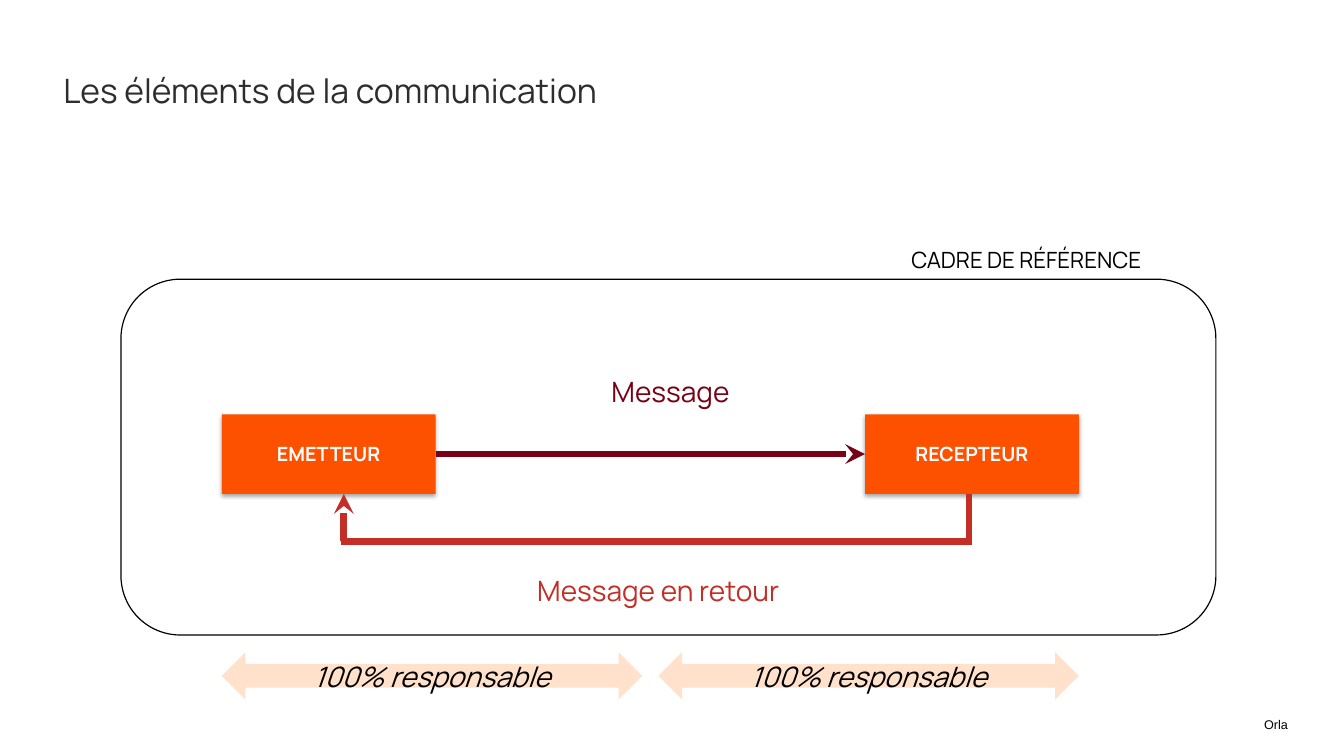
from lxml.etree import SubElement
from pptx import Presentation
from pptx.dml.color import RGBColor
from pptx.enum.shapes import MSO_CONNECTOR, MSO_SHAPE
from pptx.enum.text import MSO_ANCHOR, PP_ALIGN
from pptx.oxml.ns import qn
from pptx.util import Inches, Pt

HUES = {
    "white": "FFFFFF", "black": "000000", "gray": "2D2D2D", "orange": "FE5100",
    "peach": "FFE1CC", "wine": "780116", "red": "C32F27",
}
LEFT, RIGHT = 2.2, 10.7
BOX_W, BOX_H, BOX_TOP = 2.12, 0.79, 4.11
SPAN_W, SPAN_H, SPAN_TOP = 4.17, 0.47, 6.47
TURN, BACK, HOME = 5.37, 9.61, 3.41

LABELS = [
    ("Les éléments de la communication", (0.53, 0.52, 8.86, 0.67),
     dict(size=24, hue="gray", lead=1.2, anchor=MSO_ANCHOR.MIDDLE)),
    ("Message", (5.51, 3.67, 2.28, 0.44),
     dict(size=20, hue="wine", align=PP_ALIGN.CENTER)),
    ("Message en retour", (5.23, 5.64, 3.17, 0.44), dict(size=20, hue="red")),
    ("CADRE DE RÉFÉRENCE", (8.94, 2.39, 3.94, 0.37), dict(size=16)),
    ("Orla", (12.51, 7.11, 0.29, 0.15),
     dict(size=9, font="Arial", align=PP_ALIGN.CENTER,
          anchor=MSO_ANCHOR.BOTTOM, inset=0, wrap=False)),
]
ROLES = ["EMETTEUR", "RECEPTEUR"]
SHARES = ["100% responsable", "100% responsable"]

deck = Presentation()
deck.slide_width, deck.slide_height = Inches(13.33), Inches(7.5)
slide = deck.slides.add_slide(deck.slide_layouts[6])


def color(hue):
    return RGBColor.from_string(HUES[hue])


def write(shape, text, size=20, hue="black", font="Manrope", bold=False,
          italic=False, align=PP_ALIGN.LEFT, anchor=MSO_ANCHOR.TOP,
          lead=None, inset=None, wrap=True):
    frame = shape.text_frame
    frame.word_wrap = wrap
    frame.vertical_anchor = anchor
    if inset is not None:
        frame.margin_left = frame.margin_right = Inches(inset)
        frame.margin_top = frame.margin_bottom = Inches(inset)
    para = frame.paragraphs[0]
    para.alignment = align
    para.line_spacing = lead
    run = para.add_run()
    run.text = text
    run.font.name, run.font.size = font, Pt(size)
    run.font.bold, run.font.italic = bold, italic
    run.font.color.rgb = color(hue)


def draw(kind, area, fill, line=None):
    shape = slide.shapes.add_shape(kind, *map(Inches, area))
    shape.shadow.inherit = False
    shape.fill.solid()
    shape.fill.fore_color.rgb = color(fill)
    if line:
        shape.line.color.rgb = color(line)
        shape.line.width = Pt(0.85)
    else:
        shape.line.fill.background()
    return shape


def shade(shape):
    effect = shape._element.spPr.find(qn("a:effectLst"))
    outer = SubElement(effect, qn("a:outerShdw"), blurRad=str(Pt(3.1)),
                       dist=str(Pt(1.8)), dir="5400000", rotWithShape="0")
    tint = SubElement(outer, qn("a:srgbClr"), val=HUES["black"])
    SubElement(tint, qn("a:alpha"), val="35000")


def link(start, end, hue, arrow=False):
    line = slide.shapes.add_connector(
        MSO_CONNECTOR.STRAIGHT, *map(Inches, start + end))
    line.line.color.rgb = color(hue)
    line.line.width = Pt(4.75)
    if arrow:
        SubElement(line.line._get_or_add_ln(), qn("a:tailEnd"), type="stealth")
    SubElement(line._element.spPr, qn("a:effectLst"))
    return line


draw(MSO_SHAPE.ROUNDED_RECTANGLE, (1.2, 2.77, 10.86, 3.53), "white", "black")

boxes = []
for role, left in zip(ROLES, (LEFT, RIGHT - BOX_W)):
    box = draw(MSO_SHAPE.RECTANGLE, (left, BOX_TOP, BOX_W, BOX_H), "orange")
    shade(box)
    write(box, role, size=14, hue="white", bold=True, align=PP_ALIGN.CENTER,
          anchor=MSO_ANCHOR.MIDDLE, inset=0.08)
    boxes.append(box)

mid = BOX_TOP + BOX_H / 2
sent = link((LEFT + BOX_W, mid), (RIGHT - BOX_W, mid), "wine", arrow=True)
sent.begin_connect(boxes[0], 3)
sent.end_connect(boxes[1], 1)

base = BOX_TOP + BOX_H
link((BACK, base), (BACK, TURN), "red")
link((BACK + 0.03, TURN), (HOME - 0.03, TURN), "red")
link((HOME, TURN), (HOME, base), "red", arrow=True)

for share, left in zip(SHARES, (LEFT, RIGHT - SPAN_W)):
    span = draw(MSO_SHAPE.LEFT_RIGHT_ARROW, (left, SPAN_TOP, SPAN_W, SPAN_H), "peach")
    write(span, share, italic=True, align=PP_ALIGN.CENTER, anchor=MSO_ANCHOR.MIDDLE)

for text, area, style in LABELS:
    write(slide.shapes.add_textbox(*map(Inches, area)), text, **style)

deck.save("out.pptx")
